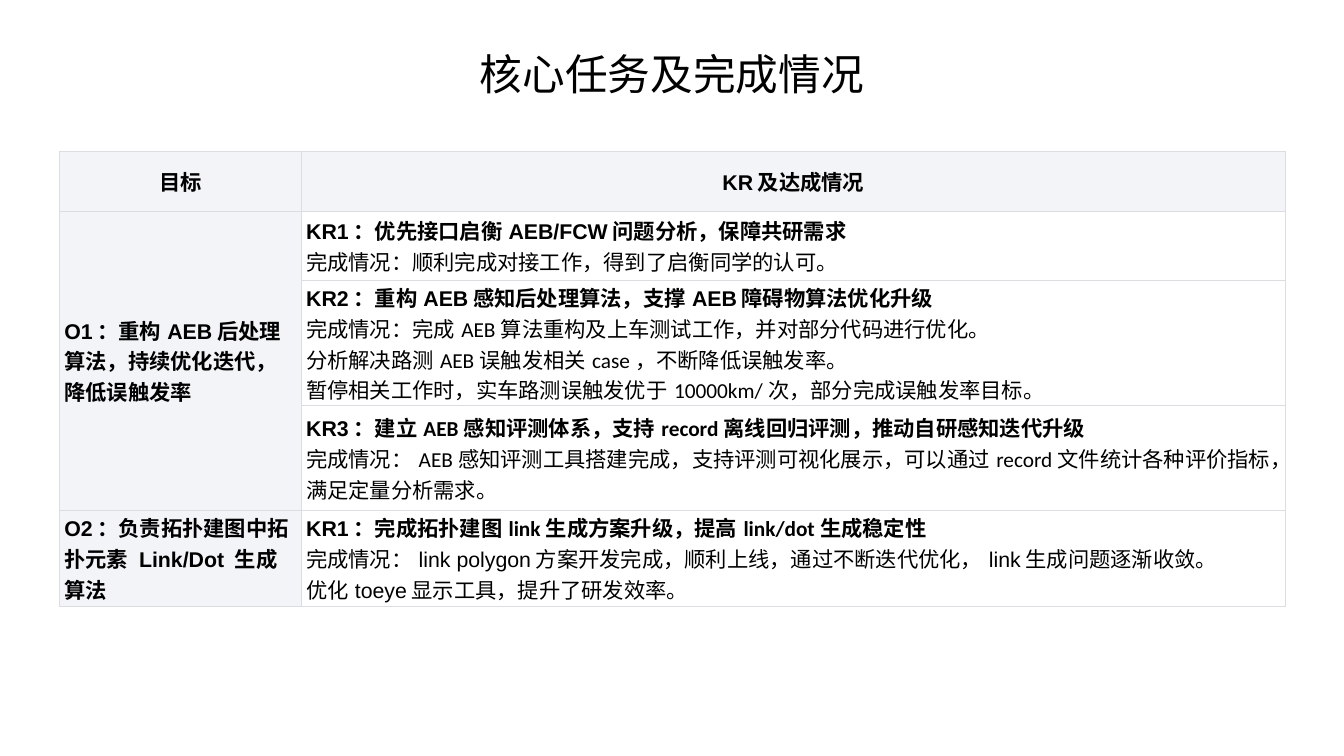
from dataclasses import dataclass

from lxml import etree
from pptx import Presentation, util as u
from pptx.dml.color import RGBColor
from pptx.enum import text
from pptx.oxml.ns import qn


@dataclass(frozen=True)
class Theme:
    ink: str = "000000"
    panel: str = "F2F4F7"
    border: str = "DCDDE0"
    latin: str = "Arial"
    alternate: str = "Calibri"
    chinese: str = "Noto Sans CJK SC"
    title_size: int = 32
    body_size: int = 16


theme = Theme()
HEAD, PLAIN = (theme.latin, True), (theme.latin, False)
HEAD_ALT, PLAIN_ALT = (theme.alternate, True), (theme.alternate, False)


def add_run(paragraph, words, size, font, bold):
    run = paragraph.add_run()
    run.text = words
    run.font.size = u.Pt(size)
    run.font.name = font
    run.font.bold = bold
    run.font.color.rgb = RGBColor.from_string(theme.ink)
    etree.SubElement(run.font._element, qn("a:ea"), typeface=theme.chinese)


def style_cell(cell, shaded):
    cell.vertical_anchor = text.MSO_ANCHOR.MIDDLE
    cell.margin_left = cell.margin_right = u.Inches(0.05)
    cell.margin_top = cell.margin_bottom = u.Inches(0.02)
    properties = cell._tc.get_or_add_tcPr()
    for side in ("lnL", "lnR", "lnT", "lnB"):
        line = etree.SubElement(properties, qn(f"a:{side}"), w=str(u.Pt(0.75)))
        solid = etree.SubElement(line, qn("a:solidFill"))
        etree.SubElement(solid, qn("a:srgbClr"), val=theme.border)
    if shaded:
        cell.fill.solid()
        cell.fill.fore_color.rgb = RGBColor.from_string(theme.panel)
    else:
        cell.fill.background()


presentation = Presentation()
presentation.slide_width = u.Inches(14)
presentation.slide_height = u.Inches(7.88)
slide = presentation.slides.add_slide(presentation.slide_layouts[6])

# Title
title = slide.shapes.add_textbox(
    u.Inches(0.7), u.Inches(0.11), u.Inches(12.6), u.Inches(1.31)).text_frame
title.word_wrap = True
title.vertical_anchor = text.MSO_ANCHOR.MIDDLE
title.paragraphs[0].alignment = text.PP_ALIGN.CENTER
add_run(title.paragraphs[0], "核心任务及完成情况", theme.title_size, theme.chinese, False)

# Objectives and key results: cell -> paragraphs -> (words, style) runs
contents = {
    (0, 0): [[("目标", HEAD)]],
    (0, 1): [[("KR及达成情况", HEAD)]],
    (1, 0): [[("O1：重构AEB后处理算法，持续优化迭代，降低误触发率", HEAD)]],
    (1, 1): [
        [("KR1：优先接口启衡AEB/FCW问题分析，保障共研需求", HEAD)],
        [("完成情况：顺利完成对接工作，得到了启衡同学的认可。", PLAIN)],
    ],
    (2, 1): [
        [("KR2：重构AEB感知后处理算法，支撑AEB障碍物算法优化升级", HEAD)],
        [("完成情况：完成AEB算法重构及上车测试工作，并对部分代码进行优化。", PLAIN_ALT)],
        [("分析解决路测AEB误触发相关case，不断降低误触发率。", PLAIN_ALT)],
        [("暂停相关工作时，实车路测误触发优于10000km/次，部分完成误触发率目标。", PLAIN_ALT)],
    ],
    (3, 1): [
        [("KR3：", HEAD),
         ("建立AEB感知评测体系，支持record离线回归评测，推动自研感知迭代升级", HEAD_ALT)],
        [("完成情况：", PLAIN),
         ("AEB感知评测工具搭建完成，支持评测可视化展示，"
          "可以通过record文件统计各种评价指标，满足定量分析需求。", PLAIN_ALT)],
    ],
    (4, 0): [[("O2：负责拓扑建图中拓扑元素 Link/Dot 生成算法", HEAD)]],
    (4, 1): [
        [("KR1：", HEAD),
         ("完成拓扑建图link生成方案升级，提高link/dot生成稳定性", HEAD_ALT)],
        [("完成情况：link polygon方案开发完成，顺利上线，"
          "通过不断迭代优化，link生成问题逐渐收敛。", PLAIN)],
        [("优化toeye显示工具，提升了研发效率。", PLAIN)],
    ],
}
column_widths = [2.52, 10.25]
row_heights = [0.62, 0.72, 1.31, 1.09, 1]

# Table grid
okr_table = slide.shapes.add_table(
    len(row_heights), len(column_widths), u.Inches(0.62), u.Inches(1.58),
    u.Inches(sum(column_widths)), u.Inches(sum(row_heights))).table
okr_table.first_row = okr_table.horz_banding = False
for column, width in zip(okr_table.columns, column_widths):
    column.width = u.Inches(width)
for row, height in zip(okr_table.rows, row_heights):
    row.height = u.Inches(height)
okr_table.cell(1, 0).merge(okr_table.cell(3, 0))

# Cell styling and wording
for row in range(len(row_heights)):
    for column in range(len(column_widths)):
        cell = okr_table.cell(row, column)
        style_cell(cell, shaded=row == 0 or column == 0)
        for index, runs in enumerate(contents.get((row, column), [])):
            frame = cell.text_frame
            paragraph = frame.add_paragraph() if index else frame.paragraphs[0]
            paragraph.alignment = text.PP_ALIGN.LEFT if row else text.PP_ALIGN.CENTER
            for words, (font, bold) in runs:
                add_run(paragraph, words, theme.body_size, font, bold)

presentation.save("out.pptx")
